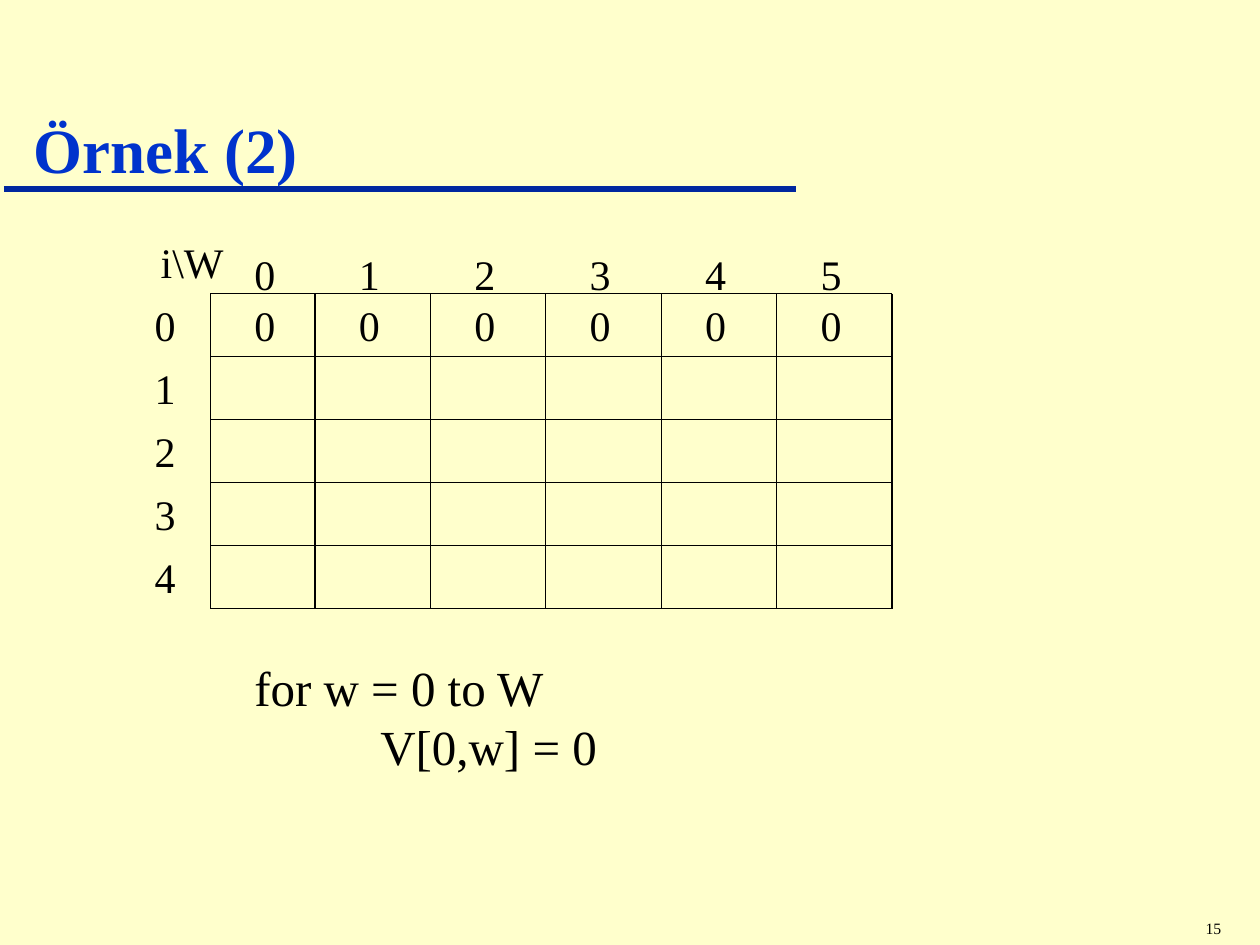
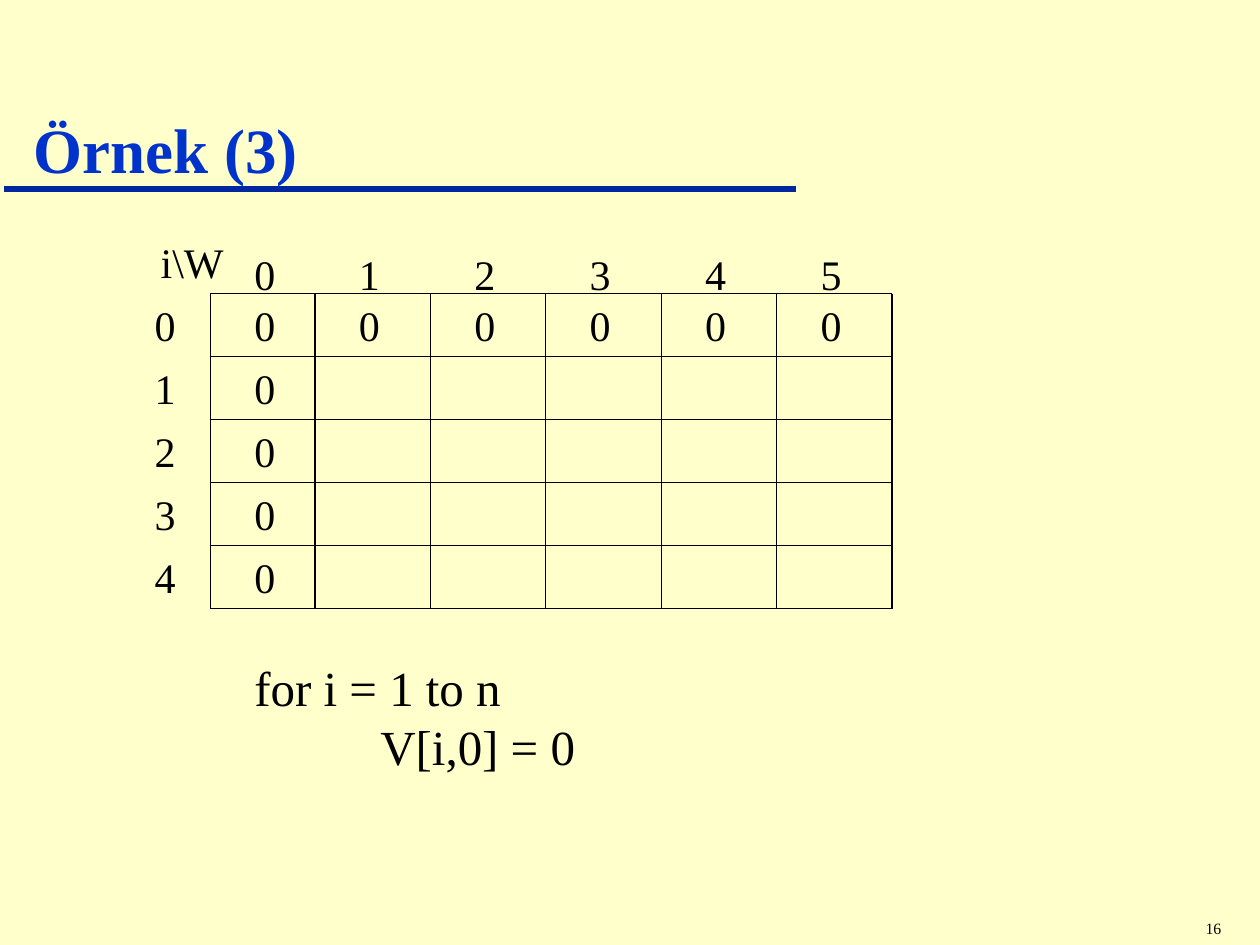
"""Build two slides that fill the first row and column of a knapsack table."""
from dataclasses import dataclass

from lxml import etree
from pptx import Presentation
from pptx.dml.color import RGBColor
from pptx.enum.shapes import MSO_CONNECTOR
from pptx.enum.text import MSO_ANCHOR, PP_ALIGN
from pptx.oxml.ns import qn
from pptx.slide import Slide
from pptx.util import Inches, Pt

STRAIGHT = MSO_CONNECTOR.STRAIGHT
TOP, BOTTOM = MSO_ANCHOR.TOP, MSO_ANCHOR.BOTTOM
LEFT, CENTER = PP_ALIGN.LEFT, PP_ALIGN.CENTER

FONT = "Times New Roman"
CREAM, BLACK, BLUE, NAVY = "FFFFCC", "000000", "0033CC", "00279F"

COLS, ROWS = 6, 5
EDGES_X = [1.67] + [2.5 + (7.08 - 2.5) / 5 * col for col in range(COLS)]
EDGES_Y = [2.33 + 0.5 * row for row in range(ROWS + 1)]
HEAD_X, HEAD_Y, PAD = 1.13, 1.92, 0.25


@dataclass(frozen=True)
class Style:
    size: int
    color: str = BLACK
    bold: bool = False
    align: PP_ALIGN = LEFT
    anchor: MSO_ANCHOR = TOP
    wrap: bool = True


@dataclass(frozen=True)
class Step:
    title: str
    loop: str
    body: str
    zeros: list[tuple[int, int]]
    page: str


TITLE = Style(36, BLUE, bold=True, anchor=BOTTOM)
CODE = Style(28)
DIGIT = Style(24, wrap=False)
CORNER = Style(24, align=CENTER)
PAGE = Style(9)

FIRST_ROW = [(0, col) for col in range(COLS)]
FIRST_COL = [(row, 0) for row in range(1, ROWS)]
STEPS = [
    Step("Örnek (2)", "for w = 0 to W", "V[0,w] = 0", FIRST_ROW, "15"),
    Step("Örnek (3)", "for i = 1 to n", "V[i,0] = 0", FIRST_ROW + FIRST_COL, "16"),
]


def paint(code: str) -> RGBColor:
    """Turn a hex string into a colour."""
    return RGBColor.from_string(code)


def add_text(slide: Slide, box: tuple[float, float, float, float],
             text: str, style: Style) -> list:
    """Add a styled text box and return its paragraphs."""
    frame = slide.shapes.add_textbox(*map(Inches, box)).text_frame
    frame.word_wrap = style.wrap
    frame.vertical_anchor = style.anchor
    frame.text = text
    for para in frame.paragraphs:
        para.alignment = style.align
        for run in para.runs:
            run.font.name = FONT
            run.font.size = Pt(style.size)
            run.font.bold = style.bold
            run.font.color.rgb = paint(style.color)
    return list(frame.paragraphs)


def add_line(slide: Slide, start: tuple[float, float], end: tuple[float, float],
             color: str = BLACK, width: float = 0.75) -> None:
    """Add a straight line without a shadow."""
    line = slide.shapes.add_connector(STRAIGHT, *map(Inches, start + end))
    line.line.color.rgb = paint(color)
    line.line.width = Pt(width)
    etree.SubElement(line._element.spPr, qn("a:effectLst"))


def add_digit(slide: Slide, left: float, top: float, value: int) -> None:
    """Add one number of the grid or its headings."""
    add_text(slide, (left, top, 0.36, 0.5), str(value), DIGIT)


def add_grid(slide: Slide, zeros: list[tuple[int, int]]) -> None:
    """Draw the grid, its headings and the filled cells."""
    for x in EDGES_X:
        add_line(slide, (x, EDGES_Y[0]), (x, EDGES_Y[-1]))
    for y in EDGES_Y:
        add_line(slide, (EDGES_X[0], y), (EDGES_X[-1], y))
    for col in range(COLS):
        add_digit(slide, EDGES_X[col] + PAD, HEAD_Y, col)
    for row in range(ROWS):
        add_digit(slide, HEAD_X, EDGES_Y[row], row)
    for row, col in zeros:
        add_digit(slide, EDGES_X[col] + PAD, EDGES_Y[row], 0)
    add_text(slide, (1.15, 1.83, 0.75, 0.5), "i\\W", CORNER)


def add_frame(slide: Slide, title: str, page: str) -> None:
    """Add the title, its rule and the page number."""
    add_line(slide, (0.03, 1.5), (6.32, 1.5), NAVY, 4)
    add_text(slide, (9.47, 7.24, 0.53, 0.25), page, PAGE)
    add_text(slide, (0.17, 0.32, 6.5, 1.21), title, TITLE)


def add_code(slide: Slide, loop: str, body: str) -> None:
    """Add the loop with its body indented."""
    paras = add_text(slide, (1.92, 5.17, 3.75, 1.04), f"{loop}\n{body}", CODE)
    paras[1]._p.get_or_add_pPr().set("marL", str(Inches(1)))


def main() -> None:
    """Build and save the deck."""
    deck = Presentation()
    deck.slide_width, deck.slide_height = Inches(10), Inches(7.5)
    fill = deck.slide_master.background.fill
    fill.solid()
    fill.fore_color.rgb = paint(CREAM)
    for step in STEPS:
        slide = deck.slides.add_slide(deck.slide_layouts[6])
        add_frame(slide, step.title, step.page)
        add_grid(slide, step.zeros)
        add_code(slide, step.loop, step.body)
    deck.save("out.pptx")


if __name__ == "__main__":
    main()
